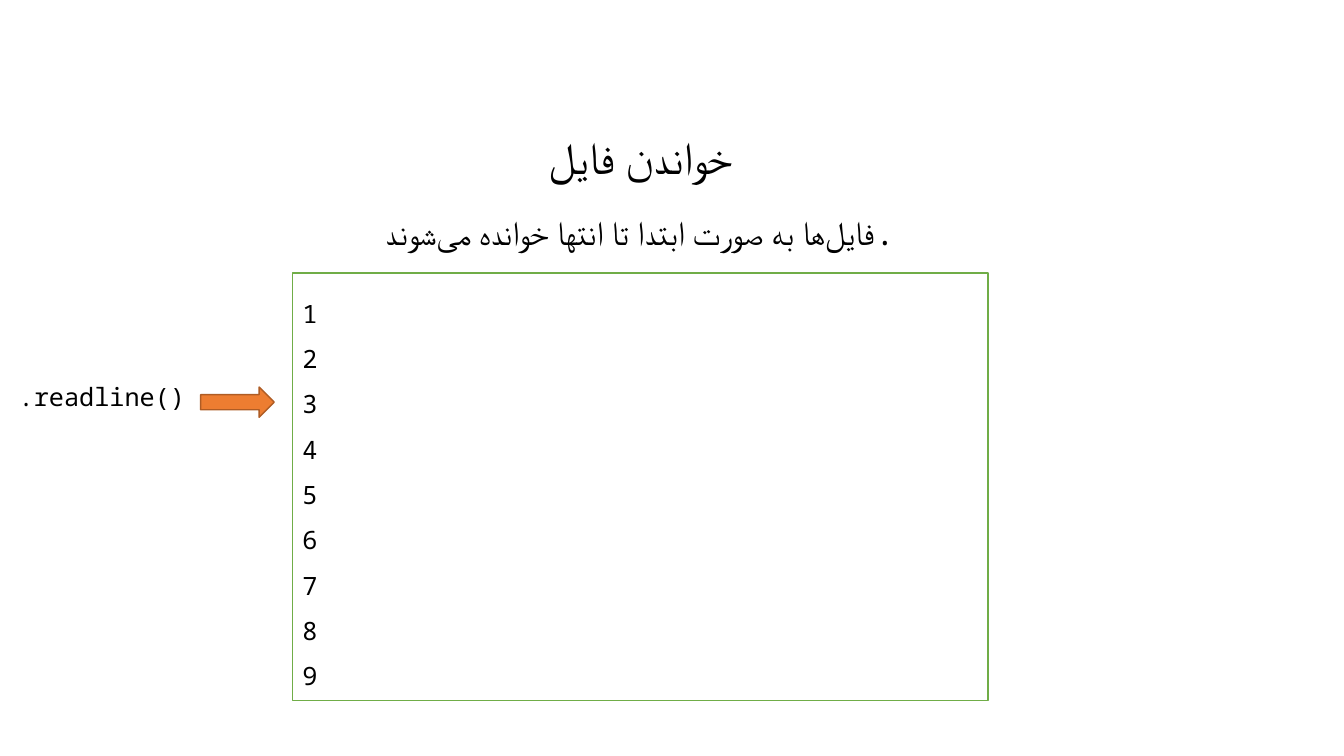
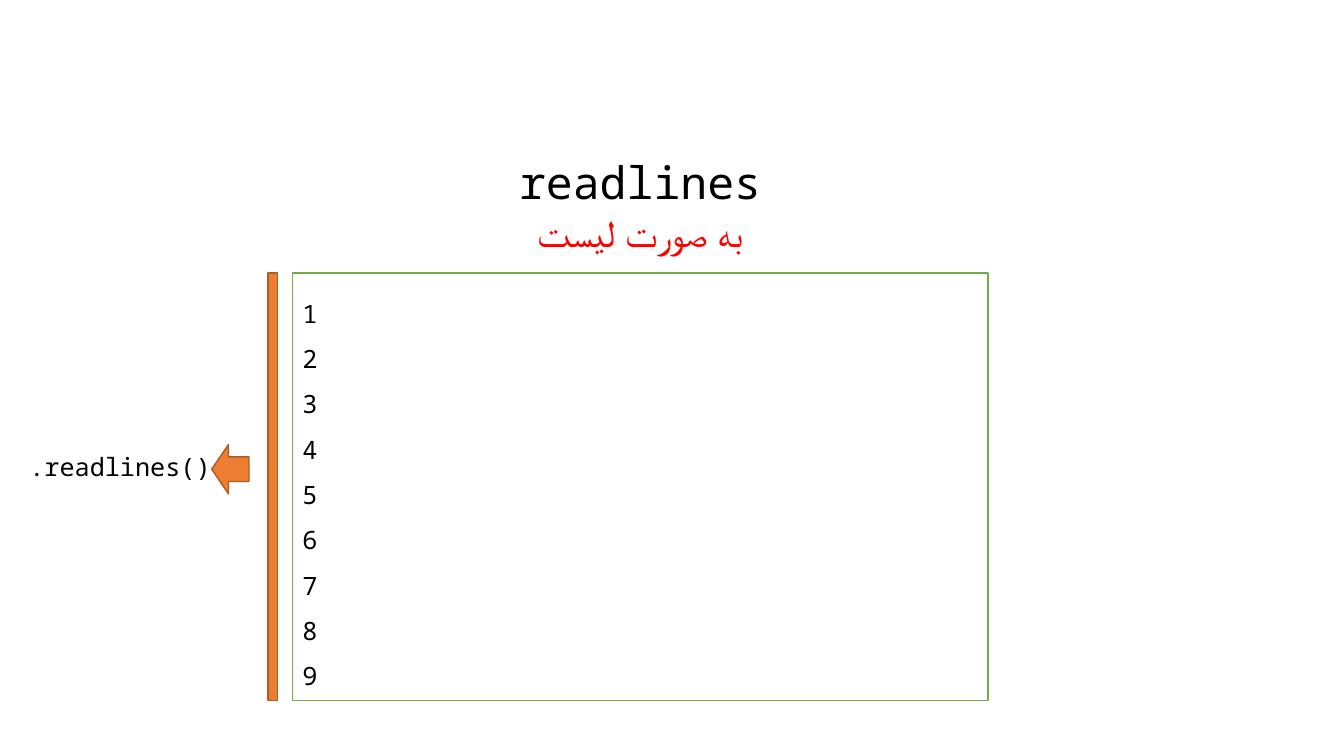
from pptx import Presentation
from pptx.dml.color import RGBColor
from pptx.enum import shapes, text
from pptx.util import Emu, Pt

PX = 9144
FONT = "Noto Sans Mono"
COLORS = {
    "paper": "FFFFFF",
    "ink": "000000",
    "accent": "FF0000",
    "frame": "70AD47",
    "marker": "ED7D31",
    "marker_edge": "AF5C24",
}
SHAPE = shapes.MSO_SHAPE
NON_JOINER = chr(0x200C)
FILE_LINES = [str(number) for number in range(1, 10)]
FILE_BOX = (290, 271, 690, 424)
HEADING_LEFT, HEADING_WIDTH, TEXT_HEIGHT = 135, 1000, 68

SLIDES = [
    {
        "headings": [
            ("خواندن فایل", 120, 32, "ink"),
            (f"فایل{NON_JOINER}ها به صورت ابتدا تا انتها خوانده می{NON_JOINER}شوند.", 188, 24, "ink"),
        ],
        "call": (".readline()", 346, 202),
        "markers": [(SHAPE.RIGHT_ARROW, (199, 384, 73, 30), ())],
    },
    {
        "headings": [
            ("readlines", 144, 32, "ink"),
            ("به صورت لیست", 191, 28, "accent"),
        ],
        "call": (".readlines()", 415, 238),
        "markers": [
            (SHAPE.LEFT_ARROW, (210, 441, 37, 49), (0.5, 0.45)),
            (SHAPE.RECTANGLE, (266, 271, 9, 424), ()),
        ],
    },
]


def color(name):
    return RGBColor.from_string(COLORS[name])


def place(box):
    return [Emu(length * PX) for length in box]


def write(shape, lines, size, ink, align, spacing, anchor):
    frame = shape.text_frame
    frame.word_wrap = True
    frame.vertical_anchor = anchor
    frame.text = "\n".join(lines)
    for paragraph in frame.paragraphs:
        paragraph.alignment = align
        paragraph.line_spacing = spacing
        paragraph.font.name = FONT
        paragraph.font.size = Pt(size)
        paragraph.font.color.rgb = color(ink)


def add_label(slide, label, box, size, ink):
    shape = slide.shapes.add_textbox(*place(box))
    write(shape, [label], size, ink, text.PP_ALIGN.CENTER, 0.9, text.MSO_ANCHOR.BOTTOM)


def add_figure(slide, kind, box, fill, line, adjustments=()):
    shape = slide.shapes.add_shape(kind, *place(box))
    shape.shadow.inherit = False
    shape.fill.solid()
    shape.fill.fore_color.rgb = color(fill)
    shape.line.color.rgb = color(line)
    shape.line.width = Pt(1)
    for index, value in enumerate(adjustments):
        shape.adjustments[index] = value
    return shape


def build_slide(presentation, content):
    slide = presentation.slides.add_slide(presentation.slide_layouts[6])
    for label, top, size, ink in content["headings"]:
        add_label(slide, label, (HEADING_LEFT, top, HEADING_WIDTH, TEXT_HEIGHT), size, ink)
    file_box = add_figure(slide, SHAPE.RECTANGLE, FILE_BOX, "paper", "frame")
    write(file_box, FILE_LINES, 18, "ink", text.PP_ALIGN.LEFT, 1.5, text.MSO_ANCHOR.MIDDLE)
    call, top, width = content["call"]
    add_label(slide, call, (0, top, width, TEXT_HEIGHT), 18, "ink")
    for kind, box, adjustments in content["markers"]:
        add_figure(slide, kind, box, "marker", "marker_edge", adjustments)


def main():
    presentation = Presentation()
    presentation.slide_width, presentation.slide_height = place((1333, 750))
    for content in SLIDES:
        build_slide(presentation, content)
    presentation.save("out.pptx")


if __name__ == "__main__":
    main()
